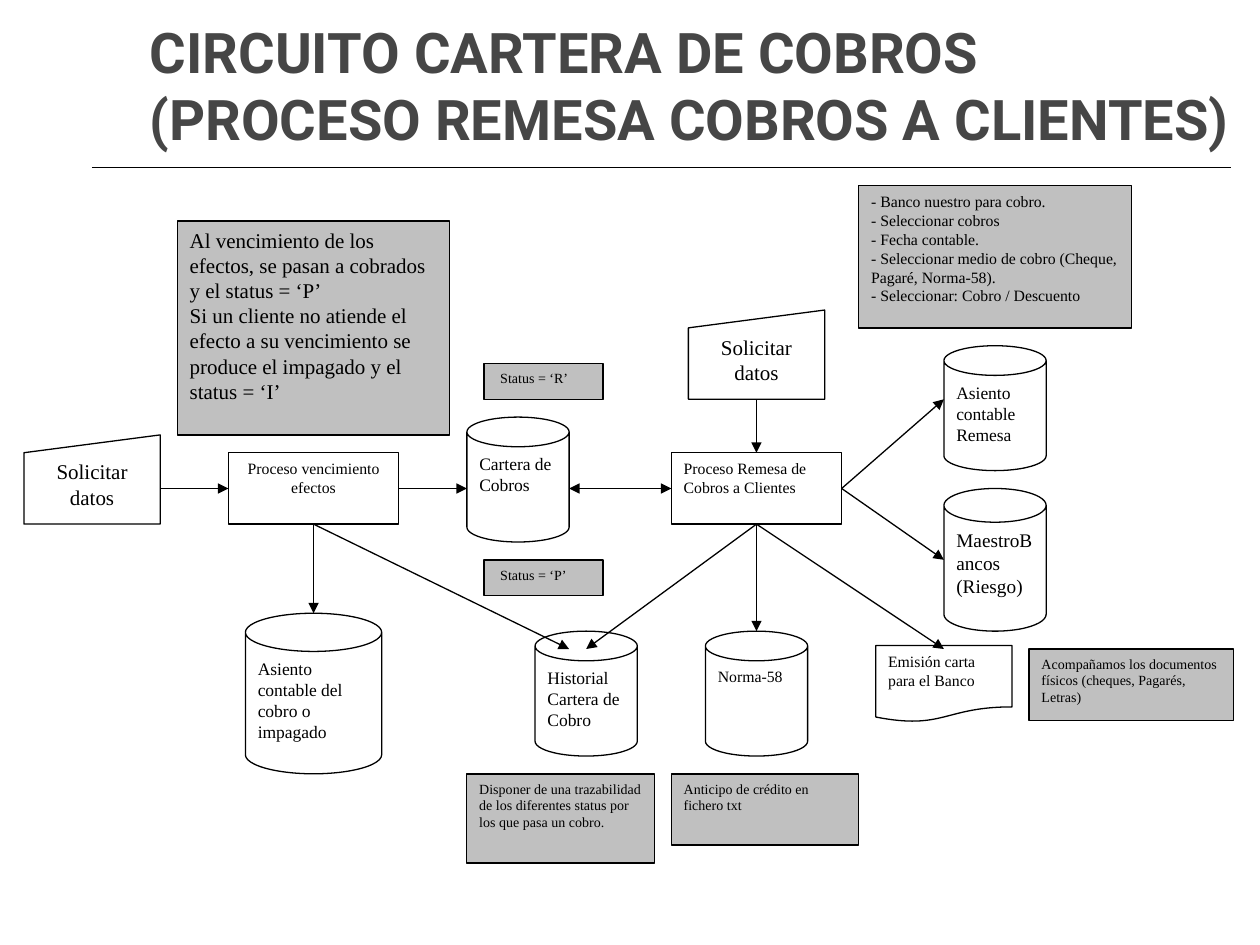
"""Build the receivables portfolio flow slide: collection remittance process."""
from pptx import Presentation
from pptx.dml.color import RGBColor
from pptx.enum.shapes import MSO_CONNECTOR as CONN, MSO_SHAPE as SHP
from pptx.enum.text import MSO_ANCHOR as ANCHOR, PP_ALIGN as ALIGN
from pptx.oxml.ns import qn
from pptx.util import Inches, Pt
from lxml.etree import SubElement

BLACK = RGBColor(0x00, 0x00, 0x00)
WHITE = RGBColor(0xFF, 0xFF, 0xFF)
SILVER = RGBColor(0xC0, 0xC0, 0xC0)
CHARCOAL = RGBColor(0x46, 0x46, 0x46)

LEFT, TOP = 0.19, 1.47
COL, ROW = 9.6 / 71, 5.38 / 38

NOTES = [
    ((9, 2, 16, 12), 12, ["Al vencimiento de los efectos, se pasan a cobrados y el status = ‘P’",
                          "Si un cliente no atiende el efecto a su vencimiento se",
                          "produce el impagado y el status = ‘I’"]),
    ((49, 0, 16, 8), 9, ["- Banco nuestro para cobro.", "- Seleccionar cobros", "- Fecha contable.",
                         "- Seleccionar medio de cobro (Cheque, Pagaré, Norma-58).",
                         "- Seleccionar: Cobro / Descuento"]),
    ((26, 33, 11, 5), 8, ["Disponer de una trazabilidad de los diferentes status por los que pasa un cobro."]),
    ((38, 33, 11, 4), 8, ["Anticipo de crédito en fichero txt"]),
    ((59, 26, 12, 4), 8, ["Acompañamos los documentos físicos (cheques, Pagarés, Letras)"]),
]
STATUSES = [((27, 10, 7, 2), "Status = ‘R’"), ((27, 21, 7, 2), "Status = ‘P’")]
STORES = [
    ((13, 24, 8, 9), 0.28, 10, ["Asiento contable del cobro o impagado"]),
    ((26, 13, 6, 7), 0.29, 10, ["Cartera de Cobros"]),
    ((30, 25, 6, 7), 0.29, 10, ["Historial Cartera de Cobro"]),
    ((40, 25, 6, 7), 0.29, 9, ["Norma-58"]),
    ((54, 9, 6, 7), 0.29, 10, ["Asiento contable", "Remesa"]),
    ((54, 17, 6, 8), 0.33, 11, ["MaestroBancos", "(Riesgo)"]),
]
INPUTS = [(0, 14, 8, 5), (39, 7, 8, 5)]
ARROWS = [
    ((8, 17), (12, 17)), ((22, 17), (26, 17)),
    ((17, 19), (17, 24)), ((17, 19), (32, 26)),
    ((43, 12), (43, 15)), ((43, 19), (43, 25)),
    ((43, 19), (33, 26)), ((43, 19), (54, 26)),
    ((48, 17), (54, 12)), ((48, 17), (54, 21)),
]


def grid(col, row):
    """Return the slide position of a grid point."""
    return Inches(LEFT + col * COL), Inches(TOP + row * ROW)


def write(tf, lines, size=9, font="Times New Roman", color=BLACK, bold=False,
          align=ALIGN.LEFT, indent=0):
    """Fill a text frame with one paragraph per line."""
    tf.word_wrap = True
    for i, line in enumerate(lines):
        p = tf.paragraphs[0] if i == 0 else tf.add_paragraph()
        p.alignment = align
        if indent:
            p._p.get_or_add_pPr().set("indent", str(Inches(indent)))
        r = p.add_run()
        r.text = line
        r.font.size, r.font.name, r.font.bold = Pt(size), font, bold
        r.font.color.rgb = color


def node(slide, kind, cell, lines, fill=WHITE, adj=None, inset=0.1, **fmt):
    """Add an outlined flow shape at a (column, row, columns, rows) cell."""
    col, row, cols, rows = cell
    sp = slide.shapes.add_shape(kind, *grid(col, row), Inches(cols * COL), Inches(rows * ROW))
    sp.shadow.inherit = False
    sp.fill.solid()
    sp.fill.fore_color.rgb = fill
    sp.line.color.rgb, sp.line.width = BLACK, Pt(0.75)
    if adj is not None:
        sp.adjustments[0] = adj
    tf = sp.text_frame
    tf.vertical_anchor = ANCHOR.TOP
    tf.margin_left = Inches(inset)
    write(tf, lines, **fmt)


def line(slide, start, end, ends=()):
    """Add a straight black line with arrowheads at the named ends."""
    cxn = slide.shapes.add_connector(CONN.STRAIGHT, *start, *end)
    cxn.line.color.rgb, cxn.line.width = BLACK, Pt(0.75)
    for tag in ends:
        SubElement(cxn.line._get_or_add_ln(), qn(tag)).set("type", "triangle")
    SubElement(cxn._element.spPr, qn("a:effectLst"))


def title(slide, lines):
    """Add the heading and the rule below it."""
    tf = slide.shapes.add_textbox(Inches(0.6), Inches(0.08), Inches(9.93), Inches(1.18)).text_frame
    tf.vertical_anchor = ANCHOR.MIDDLE
    write(tf, lines, size=32, font="Roboto", color=CHARCOAL, bold=True, indent=0.49)
    line(slide, (Inches(0.73), Inches(1.33)), (Inches(9.77), Inches(1.33)))


def main():
    """Build and save the slide."""
    prs = Presentation()
    prs.slide_width, prs.slide_height = Inches(10), Inches(7.5)
    s = prs.slides.add_slide(prs.slide_layouts[6])

    title(s, ["CIRCUITO CARTERA DE COBROS", "(PROCESO REMESA COBROS A CLIENTES)"])
    for cell, size, lines in NOTES:
        node(s, SHP.RECTANGLE, cell, lines, fill=SILVER, size=size)
    for cell, text in STATUSES:
        node(s, SHP.RECTANGLE, cell, [text], fill=SILVER, inset=0.13, size=8)
    for cell, adj, size, lines in STORES:
        node(s, SHP.CAN, cell, lines, adj=adj, size=size)
    for cell in INPUTS:
        node(s, SHP.FLOWCHART_MANUAL_INPUT, cell, ["Solicitar datos"], size=12, align=ALIGN.CENTER)
    node(s, SHP.RECTANGLE, (12, 15, 10, 4), ["Proceso vencimiento efectos"], align=ALIGN.CENTER)
    node(s, SHP.RECTANGLE, (38, 15, 10, 4), ["Proceso Remesa de Cobros a Clientes"])
    node(s, SHP.FLOWCHART_DOCUMENT, (50, 25.8, 8, 4.3), ["Emisión carta para el Banco"])
    for start, end in ARROWS:
        line(s, grid(*start), grid(*end), ends=["a:tailEnd"])
    line(s, grid(32, 17), grid(38, 17), ends=["a:headEnd", "a:tailEnd"])

    prs.save("out.pptx")


if __name__ == "__main__":
    main()
